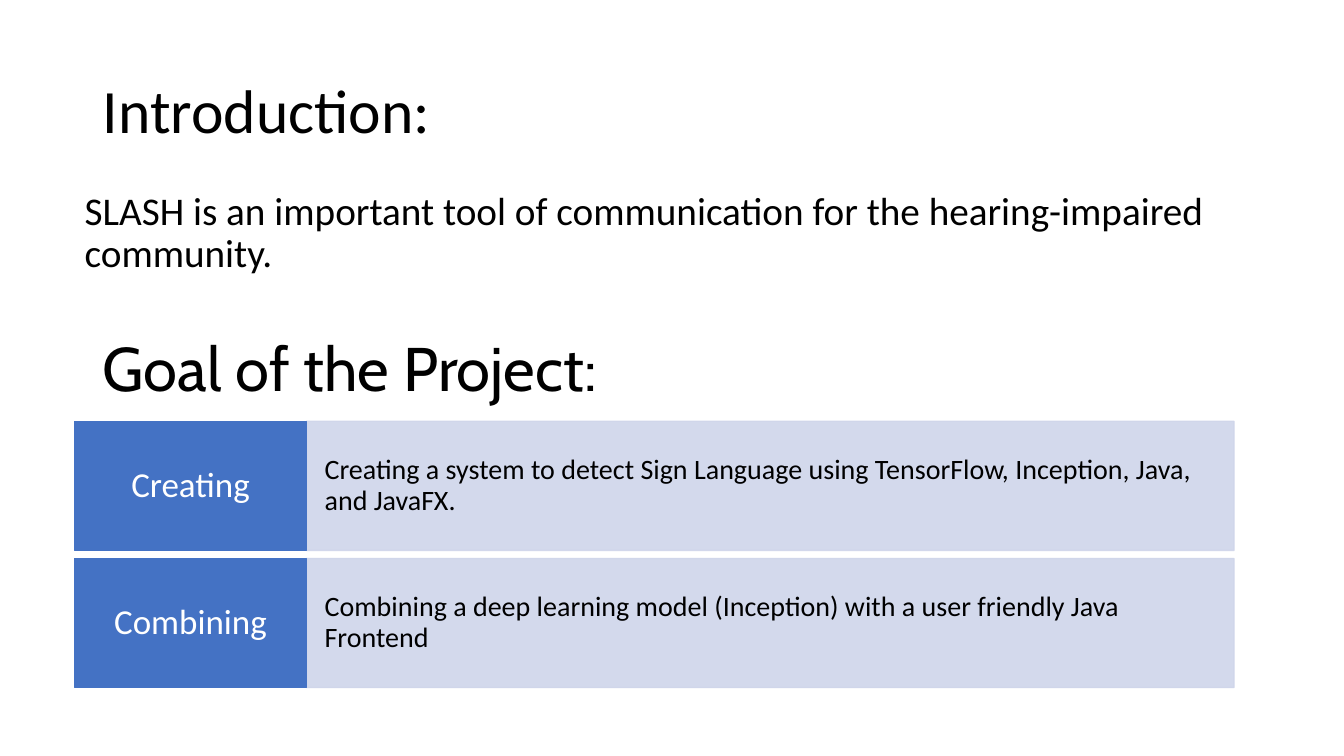
from dataclasses import dataclass

from lxml import etree
from pptx import Presentation
from pptx.dml.color import RGBColor
from pptx.enum.shapes import MSO_SHAPE
from pptx.enum.text import MSO_ANCHOR, PP_ALIGN
from pptx.oxml.ns import qn
from pptx.shapes.autoshape import Shape
from pptx.slide import Slide
from pptx.util import Inches, Pt

RECTANGLE = MSO_SHAPE.RECTANGLE
TOP, MIDDLE = MSO_ANCHOR.TOP, MSO_ANCHOR.MIDDLE
LEFT, CENTER = PP_ALIGN.LEFT, PP_ALIGN.CENTER

SLIDE_WIDTH, SLIDE_HEIGHT = Inches(13.33), Inches(7.5)


@dataclass(frozen=True)
class Theme:
    black: str = "000000"
    white: str = "FFFFFF"
    label_fill: str = "4472C4"
    detail_fill: str = "CFD5EA"
    detail_opacity: int = 90
    body_font: str = "Calibri"
    accent_font: str = "Cabin"
    heading_size: int = 44
    body_size: int = 28
    label_size: int = 25
    detail_size: int = 20
    line_spacing: float = 0.9


THEME = Theme()


@dataclass(frozen=True)
class Area:
    """A box in percent of the slide's width and height."""
    left: float
    top: float
    width: float
    height: float

    def place(self) -> tuple[int, int, int, int]:
        return (int(SLIDE_WIDTH * self.left / 100), int(SLIDE_HEIGHT * self.top / 100),
                int(SLIDE_WIDTH * self.width / 100), int(SLIDE_HEIGHT * self.height / 100))


@dataclass(frozen=True)
class TextStyle:
    size: int
    font: str = THEME.body_font
    color: str = THEME.black
    align: PP_ALIGN = LEFT
    anchor: MSO_ANCHOR = MIDDLE
    space_before: int = 0
    side_inset: float = 0.75
    end_inset: float = 0.67


@dataclass(frozen=True)
class TextBlock:
    text: str
    area: Area
    style: TextStyle


@dataclass(frozen=True)
class Goal:
    label: str
    detail: str


LABEL_STYLE = TextStyle(THEME.label_size, color=THEME.white, align=CENTER,
                        side_inset=0.9, end_inset=1.73)
DETAIL_STYLE = TextStyle(THEME.detail_size, side_inset=1.35, end_inset=4.4)

CONTENT_LEFT, HEADING_LEFT, CONTENT_WIDTH = 5.55, 6.9, 86.27
HEADING_HEIGHT = 19.33
GOALS_TOP, GOAL_HEIGHT, GOAL_PITCH = 55.73, 17.07, 18.15
LABEL_WIDTH = CONTENT_WIDTH / 5

TEXT_BLOCKS = (
    TextBlock("Introduction:",
              Area(HEADING_LEFT, 5.33, CONTENT_WIDTH, HEADING_HEIGHT),
              TextStyle(THEME.heading_size)),
    TextBlock("SLASH is an important tool of communication for the hearing-impaired community.",
              Area(CONTENT_LEFT, 24.67, CONTENT_WIDTH, 14.8),
              TextStyle(THEME.body_size, anchor=TOP, space_before=10)),
    TextBlock("Goal of the Project:",
              Area(HEADING_LEFT, 39.47, CONTENT_WIDTH, HEADING_HEIGHT),
              TextStyle(THEME.heading_size, font=THEME.accent_font)),
)

GOALS = (
    Goal("Creating",
         "Creating a system to detect Sign Language using TensorFlow, Inception, Java, and JavaFX."),
    Goal("Combining",
         "Combining a deep learning model (Inception) with a user friendly Java Frontend"),
)


def write_text(shape: Shape, text: str, style: TextStyle) -> None:
    frame = shape.text_frame
    frame.word_wrap = True
    frame.vertical_anchor = style.anchor
    frame.margin_left = frame.margin_right = int(SLIDE_WIDTH * style.side_inset / 100)
    frame.margin_top = frame.margin_bottom = int(SLIDE_HEIGHT * style.end_inset / 100)
    paragraph = frame.paragraphs[0]
    paragraph.alignment = style.align
    paragraph.line_spacing = THEME.line_spacing
    paragraph.space_before = Pt(style.space_before)
    run = paragraph.add_run()
    run.text = text
    run.font.name = style.font
    run.font.size = Pt(style.size)
    run.font.color.rgb = RGBColor.from_string(style.color)


def add_text_block(slide: Slide, block: TextBlock) -> None:
    write_text(slide.shapes.add_textbox(*block.area.place()), block.text, block.style)


def set_opacity(shape: Shape, percent: int) -> None:
    """Apply one opacity to the fill and the outline."""
    for color in shape.element.spPr.iter(qn("a:srgbClr")):
        etree.SubElement(color, qn("a:alpha")).set("val", str(percent * 1000))


def add_panel(slide: Slide, block: TextBlock, fill: str, opacity: int = 100) -> None:
    shape = slide.shapes.add_shape(RECTANGLE, *block.area.place())
    shape.shadow.inherit = False
    shape.fill.solid()
    shape.fill.fore_color.rgb = RGBColor.from_string(fill)
    shape.line.color.rgb = RGBColor.from_string(fill)
    shape.line.width = Pt(1)
    if opacity < 100:
        set_opacity(shape, opacity)
    write_text(shape, block.text, block.style)


def add_goal(slide: Slide, goal: Goal, row: int) -> None:
    top = GOALS_TOP + row * GOAL_PITCH
    detail_area = Area(CONTENT_LEFT + LABEL_WIDTH, top, CONTENT_WIDTH - LABEL_WIDTH, GOAL_HEIGHT)
    label_area = Area(CONTENT_LEFT, top, LABEL_WIDTH, GOAL_HEIGHT)
    add_panel(slide, TextBlock(goal.detail, detail_area, DETAIL_STYLE),
              THEME.detail_fill, THEME.detail_opacity)
    add_panel(slide, TextBlock(goal.label, label_area, LABEL_STYLE), THEME.label_fill)


def main() -> None:
    presentation = Presentation()
    presentation.slide_width, presentation.slide_height = SLIDE_WIDTH, SLIDE_HEIGHT
    slide = presentation.slides.add_slide(presentation.slide_layouts[6])
    for block in TEXT_BLOCKS:
        add_text_block(slide, block)
    for row, goal in enumerate(GOALS):
        add_goal(slide, goal, row)
    presentation.save("out.pptx")


if __name__ == "__main__":
    main()
